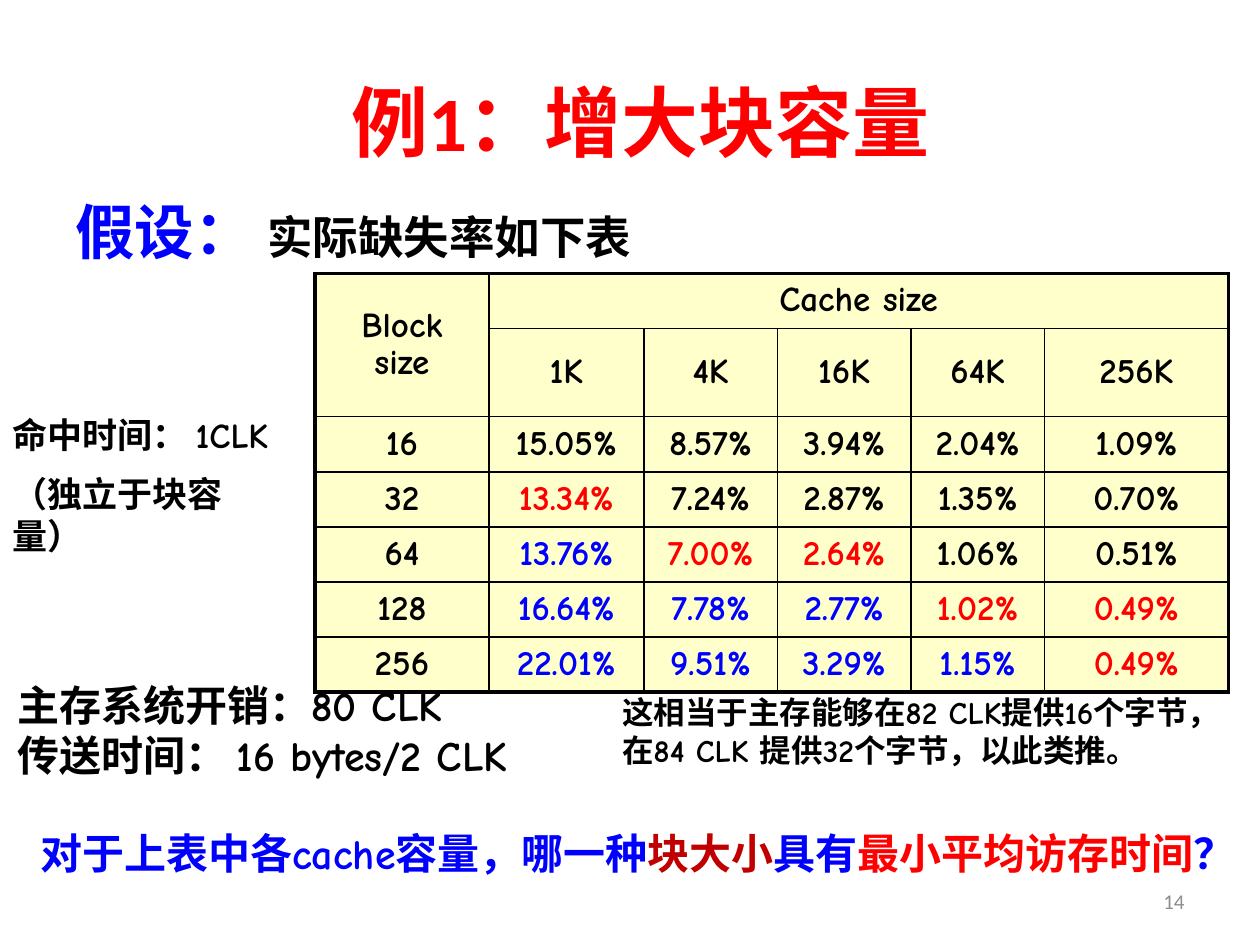
from lxml import etree
from pptx import Presentation
from pptx.dml.color import RGBColor
from pptx.enum.text import MSO_ANCHOR as Anchor, PP_ALIGN as Align
from pptx.oxml.ns import qn
from pptx.util import Inches, Pt

BLACK, RED, BLUE = "000000", "FF0000", "0000FF"
DARK, GREY, CREAM = "C00000", "8C8C8C", "FFFFCC"
MAIN, HAND = "Calibri", "Comic Neue"

HEAD = ["1K", "4K", "16K", "64K", "256K"]
SIZES = ["16", "32", "64", "128", "256"]
RATES = [
    ["15.05%", "8.57%", "3.94%", "2.04%", "1.09%"],
    ["13.34%", "7.24%", "2.87%", "1.35%", "0.70%"],
    ["13.76%", "7.00%", "2.64%", "1.06%", "0.51%"],
    ["16.64%", "7.78%", "2.77%", "1.02%", "0.49%"],
    ["22.01%", "9.51%", "3.29%", "1.15%", "0.49%"],
]
# Colour of each rate: K black, R red, B blue
MARKS = ["KKKKK", "RKKKK", "BRRKK", "BBBRR", "BBBBR"]
INKS = {"K": BLACK, "R": RED, "B": BLUE}


def rgb(code):
    return RGBColor.from_string(code)


def style(font, size, face=HAND, color=BLACK, bold=True):
    font.size, font.name, font.bold = Pt(size), face, bold
    font.color.rgb = rgb(color)


def add_text(slide, box, lines, size, face=HAND, color=BLACK, bold=True,
             align=Align.LEFT, anchor=Anchor.TOP, hang=0, gap=0):
    """Each line is a list of runs: (text, {size, color})."""
    frame = slide.shapes.add_textbox(*map(Inches, box)).text_frame
    frame.word_wrap = True
    frame.vertical_anchor = anchor
    for i, runs in enumerate(lines):
        para = frame.paragraphs[0] if i == 0 else frame.add_paragraph()
        if hang:
            props = para._p.get_or_add_pPr()
            props.set("marL", str(Inches(hang)))
            props.set("indent", str(-Inches(hang)))
        para.alignment = align
        if i and gap:
            para.space_before = Pt(gap)
        style(para.font, size, face, color, bold)
        for text, extra in runs:
            run = para.add_run()
            run.text = text
            look = {"size": size, "face": face, "color": color, "bold": bold}
            style(run.font, **{**look, **extra})


def add_edge(cell, side, width):
    line = etree.SubElement(cell._tc.get_or_add_tcPr(), qn(f"a:ln{side}"),
                            w=str(Pt(width)))
    fill = etree.SubElement(line, qn("a:solidFill"))
    etree.SubElement(fill, qn("a:srgbClr"), val=BLACK)


def fill_cell(cell, text, color):
    cell.fill.solid()
    cell.fill.fore_color.rgb = rgb(CREAM)
    cell.vertical_anchor = Anchor.MIDDLE
    para = cell.text_frame.paragraphs[0]
    para.alignment = Align.CENTER
    para.line_spacing = 0.9
    style(para.font, 20, color=color)
    if text:
        run = para.add_run()
        run.text = text
        style(run.font, 20, color=color)


def add_rates(slide, box):
    """Miss rates by block size and cache size."""
    rows = [["Block size", "Cache size"] + [""] * 4, [""] + HEAD]
    rows += [[size] + rates for size, rates in zip(SIZES, RATES)]
    marks = ["K" * 6] * 2 + ["K" + line for line in MARKS]
    high, wide = len(rows), len(rows[0])

    table = slide.shapes.add_table(high, wide, *map(Inches, box)).table
    table.first_row = table.horz_banding = False
    for col, width in zip(table.columns, [1.38, 1.23, 1.06, 1.06, 1.06, 1.46]):
        col.width = Inches(width)
    for row in table.rows:
        row.height = Inches(box[3] / high)
    table.cell(0, 0).merge(table.cell(1, 0))
    table.cell(0, 1).merge(table.cell(0, wide - 1))

    for r, row in enumerate(rows):
        for c, text in enumerate(row):
            cell = table.cell(r, c)
            right, low = c + 1, r + 1
            if cell.is_merge_origin:
                right, low = c + cell.span_width, r + cell.span_height
            outer = {"L": c == 0, "R": right == wide,
                     "T": r == 0, "B": low == high}
            for side, thick in outer.items():
                add_edge(cell, side, 2.25 if thick else 1)
            fill_cell(cell, text, INKS[marks[r][c]])


def add_heading(slide, box):
    x, y, w, h = box
    add_text(slide, (x + 0.67, y, 7.83, 1.25), [[("例1：增大块容量", {})]],
             44, MAIN, RED, align=Align.CENTER, anchor=Anchor.MIDDLE)
    lead = [("假设： ", {}), ("实际缺失率如下表", {"size": 26, "color": BLACK})]
    add_text(slide, (x, y + 1.17, w, h - 1.17), [lead], 34, MAIN, BLUE,
             hang=0.38)


def add_notes(slide, box):
    """Timing facts beside and below the table."""
    x, y = box[:2]
    add_text(slide, (x, y, 2.42, 0.94),
             [[("命中时间： 1CLK", {})], [("（独立于块容量）", {})]], 20, gap=10)
    add_text(slide, (x + 0.04, y + 2.11, 5.23, 1.17),
             [[("主存系统开销：80 CLK", {})],
              [("传送时间： 16 bytes/2 CLK", {})]], 24, hang=0.31)
    note = "这相当于主存能够在82 CLK提供16个字节，在84 CLK 提供32个字节，以此类推。"
    add_text(slide, (x + 4.84, y + 2.22, 5, 0.71), [[(note, {})]], 18)


def add_query(slide, box):
    runs = [("对于上表中各cache容量，哪一种", {}), ("块大小", {"color": DARK}),
            ("具有", {}), ("最小平均访存时间", {"color": RED}), ("？", {})]
    add_text(slide, box, [runs], 24, color=BLUE, hang=0.31)


def add_number(slide, box):
    add_text(slide, box, [[("14", {})]], 12, MAIN, GREY, False,
             Align.RIGHT, Anchor.MIDDLE)


def main():
    deck = Presentation()
    deck.slide_width, deck.slide_height = Inches(10), Inches(7.5)
    slide = deck.slides.add_slide(deck.slide_layouts[6])
    add_heading(slide, (0.5, 0.33, 9.25, 1.92))
    add_rates(slide, (2.5, 2.17, 7.24, 3.06))
    add_notes(slide, (0, 3.23, 9.84, 3.28))
    add_number(slide, (7.17, 6.95, 2.33, 0.4))
    add_query(slide, (0.22, 6.52, 10.1, 0.5))
    deck.save("out.pptx")


if __name__ == "__main__":
    main()
